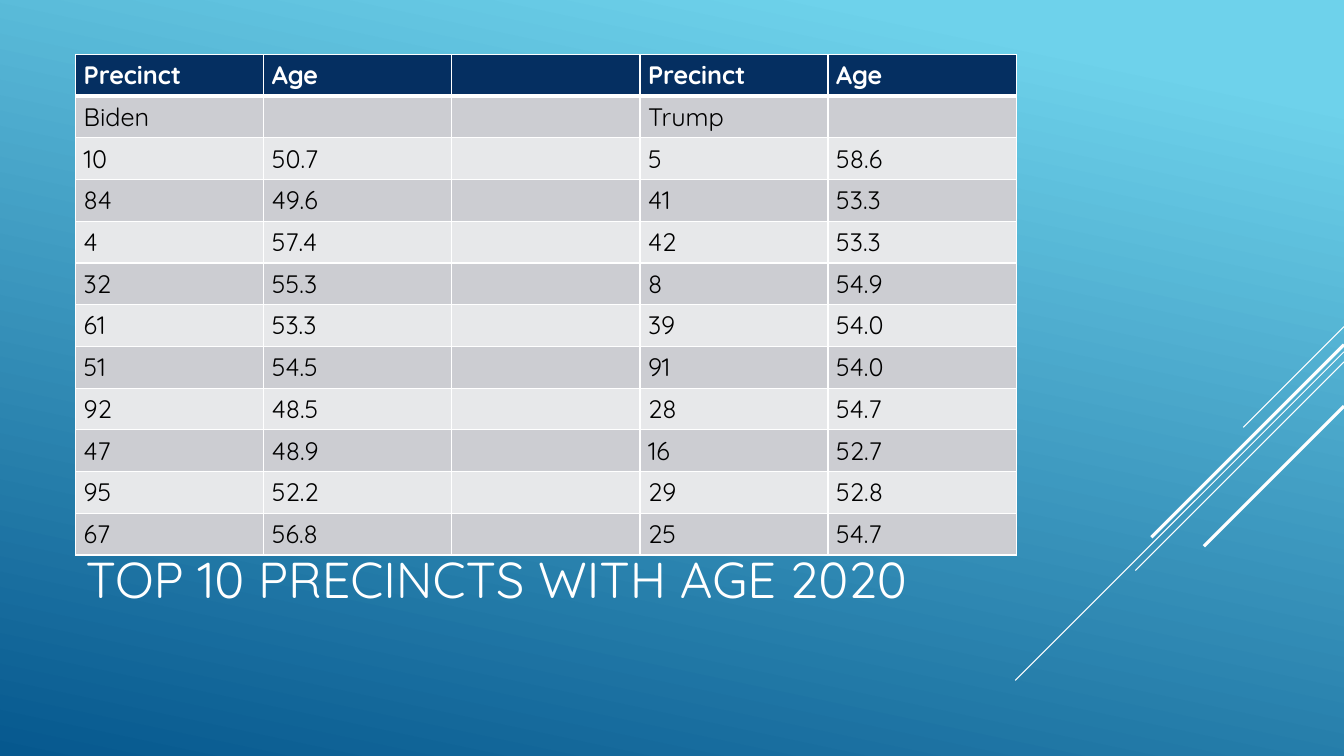
from lxml.etree import SubElement
from pptx import Presentation
from pptx.dml.color import RGBColor
from pptx.enum.shapes import MSO_CONNECTOR
from pptx.enum.text import MSO_ANCHOR, PP_ALIGN
from pptx.oxml.ns import qn
from pptx.util import Inches, Pt

FONT = "Quicksand"
COLORS = {
    "sky": "6ED2EB",
    "deep": "06588E",
    "header": "052F61",
    "dark_band": "CCCDD2",
    "light_band": "E7E8EA",
    "white": "FFFFFF",
    "black": "000000",
}
PRECINCTS = [
    ("Precinct", "Age", "", "Precinct", "Age"),
    ("Biden", "", "", "Trump", ""),
    ("10", "50.7", "", "5", "58.6"),
    ("84", "49.6", "", "41", "53.3"),
    ("4", "57.4", "", "42", "53.3"),
    ("32", "55.3", "", "8", "54.9"),
    ("61", "53.3", "", "39", "54.0"),
    ("51", "54.5", "", "91", "54.0"),
    ("92", "48.5", "", "28", "54.7"),
    ("47", "48.9", "", "16", "52.7"),
    ("95", "52.2", "", "29", "52.8"),
    ("67", "56.8", "", "25", "54.7"),
]
SLIDE_WIDTH = 13.33
LEFT, WIDTH = 0.75, 9.33


def style_text(paragraph, size, color, bold=False):
    paragraph.alignment = PP_ALIGN.LEFT
    font = paragraph.font
    for run in paragraph.runs:
        font = run.font
    font.name = FONT
    font.size = Pt(size)
    font.bold = bold
    font.color.rgb = RGBColor.from_string(COLORS[color])


def add_borders(cell, top, bottom):
    """Draw white cell borders; call before filling, as borders come first in the XML."""
    properties = cell._tc.get_or_add_tcPr()
    for side, points in (("L", 1), ("R", 1), ("T", top), ("B", bottom)):
        border = SubElement(properties, qn(f"a:ln{side}"), w=str(Pt(points)))
        fill = SubElement(border, qn("a:solidFill"))
        SubElement(fill, qn("a:srgbClr"), val=COLORS["white"])


prs = Presentation()
prs.slide_width = Inches(SLIDE_WIDTH)
prs.slide_height = Inches(7.5)
slide = prs.slides.add_slide(prs.slide_layouts[5])

# Background gradient
background = slide.background.fill
background.gradient()
background.gradient_angle = 360 - 102
for stop, position, color in zip(background.gradient_stops, (0.1, 1), ("sky", "deep")):
    stop.position = position
    stop.color.rgb = RGBColor.from_string(COLORS[color])

# Diagonal rays from the right edge: start height, run to the left, line width
for top, run, weight in [
    (3.24, 1, 0.75),
    (3.49, 3.26, 0.75),
    (3.59, 2.07, 0.75),
    (3.42, 1.91, 2.25),
    (4.03, 1.39, 2.25),
]:
    ray = slide.shapes.add_connector(
        MSO_CONNECTOR.STRAIGHT,
        Inches(SLIDE_WIDTH), Inches(top),
        Inches(SLIDE_WIDTH - run), Inches(top + run),
    )
    ray.line.color.rgb = RGBColor.from_string(COLORS["white"])
    ray.line.width = Pt(weight)
    SubElement(ray._element.spPr, qn("a:effectLst"))

# Title
title = slide.shapes.title
title.left, title.top = Inches(LEFT), Inches(4.91)
title.width, title.height = Inches(WIDTH), Inches(1.65)
title.text_frame.text = "TOP 10 PRECINCTS WITH AGE 2020"
title.text_frame.vertical_anchor = MSO_ANCHOR.MIDDLE
style_text(title.text_frame.paragraphs[0], 36, "white")

# Precinct table
table = slide.shapes.add_table(
    len(PRECINCTS), len(PRECINCTS[0]),
    Inches(LEFT), Inches(0.54), Inches(WIDTH), Inches(4.87),
).table
for row, values in enumerate(PRECINCTS):
    is_header = row == 0
    band = "header" if is_header else "dark_band" if row % 2 else "light_band"
    for column, value in enumerate(values):
        cell = table.cell(row, column)
        cell.margin_left = cell.margin_right = Inches(0.08)
        cell.margin_top = cell.margin_bottom = Inches(0.05)
        add_borders(cell, top=3 if row == 1 else 1, bottom=3 if is_header else 1)
        cell.fill.solid()
        cell.fill.fore_color.rgb = RGBColor.from_string(COLORS[band])
        cell.text_frame.text = value
        style_text(cell.text_frame.paragraphs[0], 18,
                   "white" if is_header else "black", is_header)

prs.save("out.pptx")
